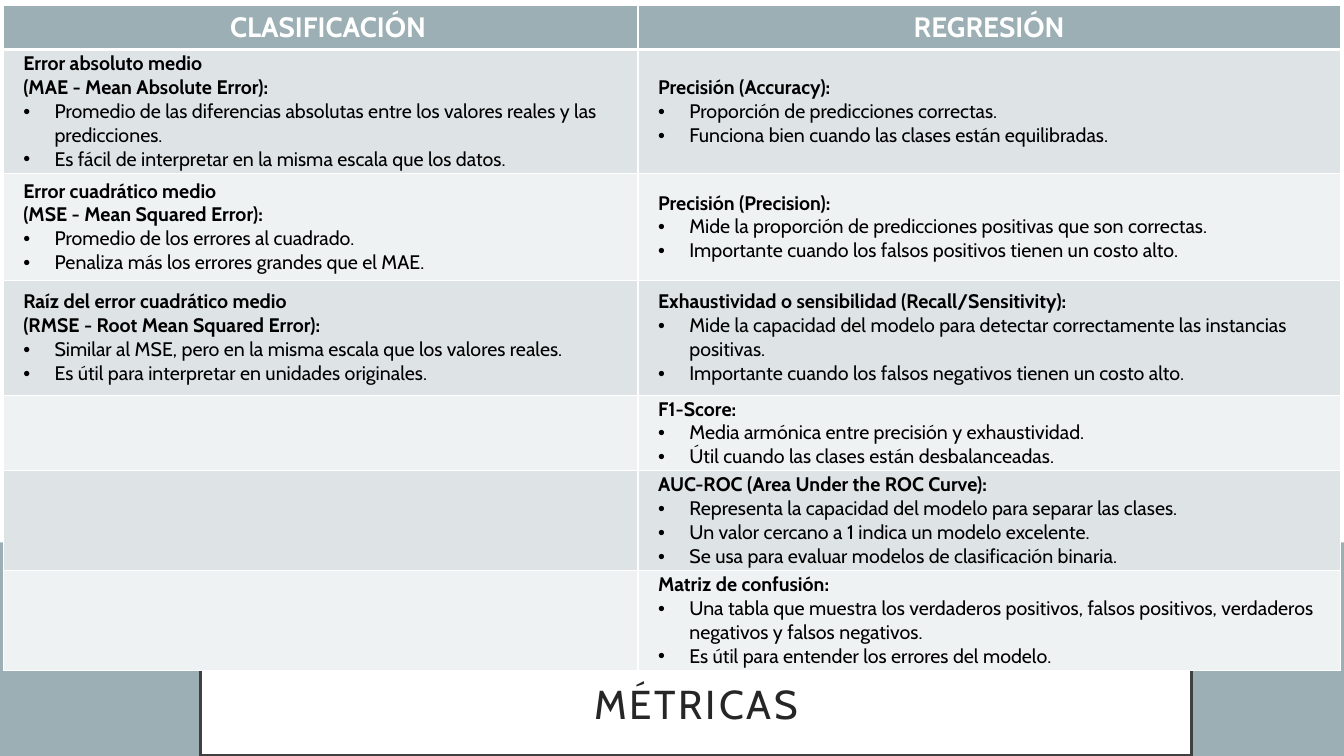
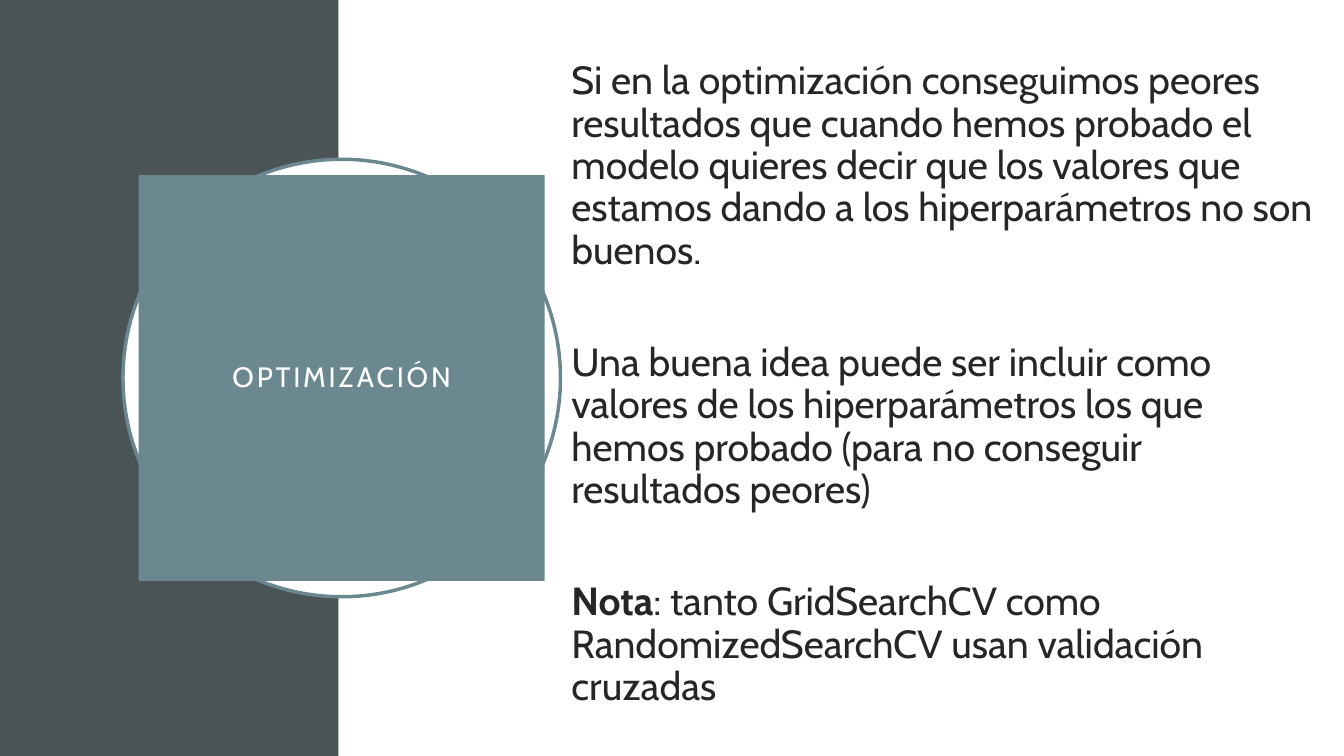
from dataclasses import dataclass

from lxml import etree
from pptx import Presentation
from pptx import util as u
from pptx.dml.color import RGBColor
from pptx.enum import shapes, text
from pptx.oxml.ns import qn

FONT = "Cabin"
WHITE = RGBColor(0xFF, 0xFF, 0xFF)
BLACK = RGBColor(0, 0, 0)
INK = RGBColor(0x26, 0x26, 0x26)
FRAME = RGBColor(0x40, 0x40, 0x40)
MIST = RGBColor(0x9B, 0xAF, 0xB5)
TEAL = RGBColor(0x6B, 0x88, 0x91)
SLATE = RGBColor(0x4A, 0x53, 0x56)
ROW_TINTS = (RGBColor(0xDE, 0xE3, 0xE5), RGBColor(0xEF, 0xF2, 0xF3))
TITLE_ONLY = 5
LINE_WIDTH = u.Pt(2.5)

HEADINGS = ("CLASIFICACIÓN", "REGRESIÓN")
COLUMN_WEIGHTS = (6.3, 6.97)
ROW_WEIGHTS = (0.44, 1.23, 1.06, 1.14, 0.75, 0.99, 0.99)

METRICS = (
    (
        (("Error absoluto medio", "(MAE - Mean Absolute Error):"),
         ("Promedio de las diferencias absolutas entre los valores reales y las predicciones.",
          "Es fácil de interpretar en la misma escala que los datos.")),
        (("Error cuadrático medio", "(MSE - Mean Squared Error):"),
         ("Promedio de los errores al cuadrado.",
          "Penaliza más los errores grandes que el MAE.")),
        (("Raíz del error cuadrático medio", "(RMSE - Root Mean Squared Error):"),
         ("Similar al MSE, pero en la misma escala que los valores reales.",
          "Es útil para interpretar en unidades originales.")),
    ),
    (
        (("Precisión (Accuracy):",),
         ("Proporción de predicciones correctas.",
          "Funciona bien cuando las clases están equilibradas.")),
        (("Precisión (Precision):",),
         ("Mide la proporción de predicciones positivas que son correctas.",
          "Importante cuando los falsos positivos tienen un costo alto.")),
        (("Exhaustividad o sensibilidad (Recall/Sensitivity):",),
         ("Mide la capacidad del modelo para detectar correctamente las instancias positivas.",
          "Importante cuando los falsos negativos tienen un costo alto.")),
        (("F1-Score:",),
         ("Media armónica entre precisión y exhaustividad.",
          "Útil cuando las clases están desbalanceadas.")),
        (("AUC-ROC (Area Under the ROC Curve):",),
         ("Representa la capacidad del modelo para separar las clases.",
          "Un valor cercano a 1 indica un modelo excelente.",
          "Se usa para evaluar modelos de clasificación binaria.")),
        (("Matriz de confusión:",),
         ("Una tabla que muestra los verdaderos positivos, falsos positivos, "
          "verdaderos negativos y falsos negativos.",
          "Es útil para entender los errores del modelo.")),
    ),
)

ADVICE = (
    (("Si en la optimización conseguimos peores resultados que cuando hemos probado "
      "el modelo quieres decir que los valores que estamos dando a los "
      "hiperparámetros no son buenos.", False),),
    (("Una buena idea puede ser incluir como valores de los hiperparámetros los que "
      "hemos probado (para no conseguir resultados peores)", False),),
    (("Nota", True),
     (": tanto GridSearchCV como RandomizedSearchCV usan validación cruzadas", False)),
)


@dataclass
class Box:
    left: int
    top: int
    width: int
    height: int

    def inner(self, left, top, width, height):
        return Box(int(self.left + self.width * left / 100),
                   int(self.top + self.height * top / 100),
                   int(self.width * width / 100),
                   int(self.height * height / 100))

    def bounds(self):
        return self.left, self.top, self.width, self.height


def write(frame, runs, first=False, size=14, color=BLACK, bold=False, align=None,
          leading=None, before=None, tracking=None, indent=None, bullet=False):
    paragraph = frame.paragraphs[0] if first else frame.add_paragraph()
    paragraph.alignment = align
    paragraph.line_spacing = leading
    if before is not None:
        paragraph.space_before = u.Pt(before)
    properties = paragraph._p.get_or_add_pPr()
    if indent is not None:
        properties.set("marL", str(u.Inches(indent)))
        properties.set("indent", str(-u.Inches(indent) if bullet else 0))
    if bullet:
        etree.SubElement(properties, qn("a:buFont")).set("typeface", "Arial")
        etree.SubElement(properties, qn("a:buChar")).set("char", "•")
    for words, strong in [(runs, bold)] if isinstance(runs, str) else runs:
        run = paragraph.add_run()
        run.text = words
        run.font.name = FONT
        run.font.size = u.Pt(size)
        run.font.bold = strong
        run.font.color.rgb = color
        if tracking:
            run._r.get_or_add_rPr().set("spc", str(tracking * 100))


def set_insets(holder, left, top, right, bottom):
    holder.margin_left, holder.margin_top = u.Inches(left), u.Inches(top)
    holder.margin_right, holder.margin_bottom = u.Inches(right), u.Inches(bottom)


def paint(shape, fill, line=None):
    shape.fill.solid()
    shape.fill.fore_color.rgb = fill
    if line is None:
        shape.line.fill.background()
    else:
        shape.line.color.rgb = line
        shape.line.width = LINE_WIDTH


def add_panel(slide, box, fill, line=None, outline=shapes.MSO_SHAPE.RECTANGLE):
    panel = slide.shapes.add_shape(outline, *box.bounds())
    panel.shadow.inherit = False
    paint(panel, fill, line)


def place_title(slide, box, words, fill, line=None, side_inset=0.2, **style):
    title = slide.shapes.title
    title.left, title.top, title.width, title.height = box.bounds()
    paint(title, fill, line)
    frame = title.text_frame
    frame.auto_size = text.MSO_AUTO_SIZE.NONE
    frame.word_wrap = True
    frame.vertical_anchor = text.MSO_ANCHOR.MIDDLE
    set_insets(frame, side_inset, 0.2, side_inset, 0.2)
    write(frame, words, first=True, align=text.PP_ALIGN.CENTER, leading=0.9,
          tracking=2, **style)
    title.element.getparent().append(title.element)


def format_cell(cell, fill, left_inset, bottom_line=1):
    cell.fill.solid()
    cell.fill.fore_color.rgb = fill
    cell.vertical_anchor = text.MSO_ANCHOR.MIDDLE
    set_insets(cell, left_inset, 0.01, 0.02, 0.01)
    properties = cell._tc.get_or_add_tcPr()
    for place, (edge, width) in enumerate(
            (("L", 1), ("R", 1), ("T", 1), ("B", bottom_line))):
        border = etree.Element(qn(f"a:ln{edge}"), w=str(u.Pt(width)))
        solid = etree.SubElement(border, qn("a:solidFill"))
        etree.SubElement(solid, qn("a:srgbClr")).set("val", str(WHITE))
        properties.insert(place, border)


def add_metrics_table(slide, box):
    table = slide.shapes.add_table(len(ROW_WEIGHTS), len(HEADINGS), *box.bounds()).table
    table.first_row = table.horz_banding = False
    for column, weight in zip(table.columns, COLUMN_WEIGHTS):
        column.width = int(box.width * weight / sum(COLUMN_WEIGHTS))
    for row, weight in zip(table.rows, ROW_WEIGHTS):
        row.height = int(box.height * weight / sum(ROW_WEIGHTS))
    for column, (heading, metrics) in enumerate(zip(HEADINGS, METRICS)):
        header = table.cell(0, column)
        format_cell(header, MIST, 0.02, bottom_line=3)
        write(header.text_frame, heading, first=True, size=20, color=WHITE, bold=True,
              align=text.PP_ALIGN.CENTER, indent=0 if column else 0.15)
        for row in range(1, len(ROW_WEIGHTS)):
            cell = table.cell(row, column)
            format_cell(cell, ROW_TINTS[(row - 1) % 2], 0.2)
            if row > len(metrics):
                continue
            names, points = metrics[row - 1]
            for index, name in enumerate(names):
                write(cell.text_frame, name, first=index == 0, bold=True)
            for point in points:
                write(cell.text_frame, point, indent=0.31, bullet=True)


def add_advice(slide, box):
    frame = slide.shapes.add_textbox(*box.bounds()).text_frame
    frame.word_wrap = True
    frame.vertical_anchor = text.MSO_ANCHOR.MIDDLE
    for index, runs in enumerate(ADVICE):
        write(frame, runs, first=index == 0, size=28, color=INK, leading=0.9,
              before=50 if index else 10)


def build_metrics(slide, page):
    add_panel(slide, page.inner(0, 71.73, 100, 28.27), MIST)
    place_title(slide, page.inner(14.93, 86.93, 73.73, 13.07), "MÉTRICAS", WHITE,
                line=FRAME, side_inset=0.3, size=28.8, color=INK)
    add_metrics_table(slide, page.inner(0.23, 0.67, 99.5, 88))


def build_optimization(slide, page):
    add_panel(slide, page.inner(0, 0, 25.2, 100), SLATE)
    add_panel(slide, page.inner(25.2, 0, 74.8, 100), WHITE)
    ring = page.inner(9.15, 21.07, 32.55, 57.87)
    add_panel(slide, ring, WHITE, TEAL, shapes.MSO_SHAPE.OVAL)
    place_title(slide, ring.inner(3.6, 3.6, 92.8, 92.8), "OPTIMIZACIÓN", TEAL,
                size=20, color=WHITE)
    add_advice(slide, page.inner(41.78, 6.4, 56.85, 89.07))


def main():
    deck = Presentation()
    deck.slide_width, deck.slide_height = u.Inches(13.33), u.Inches(7.5)
    page = Box(0, 0, deck.slide_width, deck.slide_height)
    for build in (build_metrics, build_optimization):
        slide = deck.slides.add_slide(deck.slide_layouts[TITLE_ONLY])
        for holder in list(slide.placeholders):
            if holder.placeholder_format.idx:
                holder.element.getparent().remove(holder.element)
        build(slide, page)
    deck.save("out.pptx")


if __name__ == "__main__":
    main()
